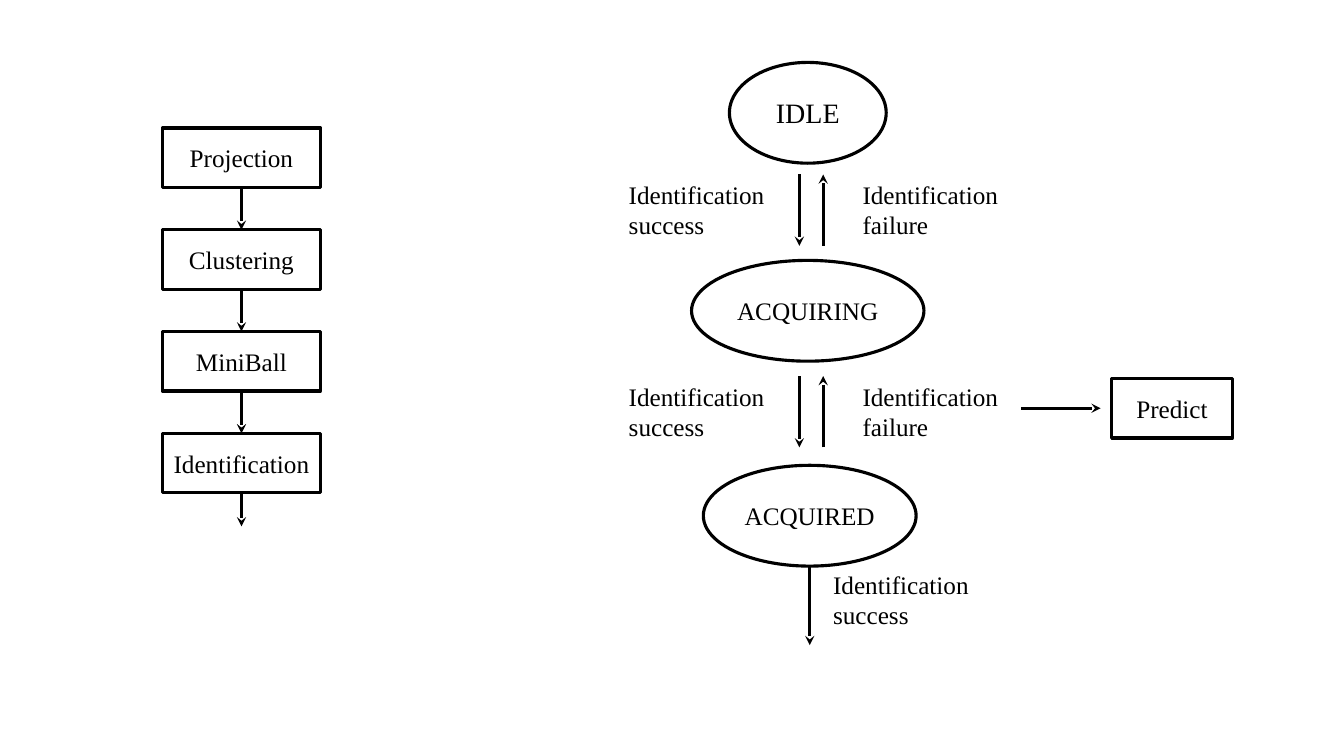
import pptx
import pptx.dml.color
import pptx.enum.shapes
import pptx.enum.text
import pptx.oxml
import pptx.oxml.ns
import pptx.util

Pt = pptx.util.Pt
SHAPE = pptx.enum.shapes.MSO_SHAPE
INK, PAPER = "000000", "FFFFFF"
TOP, BOTTOM = 0, 2


def color(value):
    return pptx.dml.color.RGBColor.from_string(value)


def write(tf, text, size, align):
    """Put each line of text in its own paragraph."""
    for i, line in enumerate(text.split("\n")):
        p = tf.paragraphs[0] if i == 0 else tf.add_paragraph()
        p.alignment = align
        r = p.add_run()
        r.text = line
        for name, value in {"name": "Times New Roman", "size": Pt(size)}.items():
            setattr(r.font, name, value)
        r.font.color.rgb = color(INK)


def add_node(s, kind, text, left, top, width, height, size=18):
    sp = s.shapes.add_shape(kind, Pt(left), Pt(top), Pt(width), Pt(height))
    sp.shadow.inherit = False
    sp.fill.solid()
    sp.fill.fore_color.rgb = color(PAPER)
    sp.line.color.rgb = color(INK)
    sp.line.width = Pt(2.25)
    sp.text_frame.vertical_anchor = pptx.enum.text.MSO_ANCHOR.MIDDLE
    write(sp.text_frame, text, size, pptx.enum.text.PP_ALIGN.CENTER)
    return sp


def add_label(s, text, left, top):
    sp = s.shapes.add_textbox(Pt(left), Pt(top), Pt(120), Pt(51))
    tf = sp.text_frame
    tf.word_wrap = False
    tf.auto_size = pptx.enum.text.MSO_AUTO_SIZE.SHAPE_TO_FIT_TEXT
    write(tf, text, 18, pptx.enum.text.PP_ALIGN.LEFT)


def add_arrow(s, x1, y1, x2, y2):
    c = s.shapes.add_connector(pptx.enum.shapes.MSO_CONNECTOR.STRAIGHT,
                               Pt(x1), Pt(y1), Pt(x2), Pt(y2))
    c.line.color.rgb = color(INK)
    c.line.width = Pt(2.25)
    ns = pptx.oxml.ns.nsdecls("a")
    c.line._get_or_add_ln().append(
        pptx.oxml.parse_xml(f'<a:tailEnd {ns} type="stealth"/>'))
    c._element.spPr.append(pptx.oxml.parse_xml(f"<a:effectLst {ns}/>"))
    return c


def add_pipeline(s):
    left, top, width, height, pitch = 116, 91.4, 113, 42.5, 72.7
    center = left + width / 2
    steps = ["Projection", "Clustering", "MiniBall", "Identification"]
    boxes = [add_node(s, SHAPE.RECTANGLE, step, left, top + i * pitch, width, height)
             for i, step in enumerate(steps)]
    for upper, lower in zip(boxes, boxes[1:]):
        c = add_arrow(s, center, top, center, top + pitch)
        c.begin_connect(upper, BOTTOM)
        c.end_connect(lower, TOP)
    end = add_arrow(s, center, top, center, 376)
    end.begin_connect(boxes[-1], BOTTOM)


def add_transitions(s, top):
    """Draw the success and failure arrows between two states."""
    bottom = top + 51
    add_arrow(s, 571, top, 571, bottom)
    add_arrow(s, 588, bottom, 588, top)
    add_label(s, "Identification\nsuccess", 442, top)
    add_label(s, "Identification\nfailure", 609, top)


def add_state_machine(s):
    states = [("IDLE", 521, 44.6, 112, 20),
              ("ACQUIRING", 494, 186, 166, 18),
              ("ACQUIRED", 502.4, 332.4, 152, 18)]
    for text, left, top, width, size in states:
        add_node(s, SHAPE.OVAL, text, left, top, width, 72, size)
    for top in (124.6, 268.6):
        add_transitions(s, top)
    add_arrow(s, 729.4, 291.6, 786.2, 291.6)
    add_node(s, SHAPE.RECTANGLE, "Predict", 794, 270.4, 86.4, 42.5)
    add_arrow(s, 578.4, 404.4, 578.4, 460.8)
    add_label(s, "Identification\nsuccess", 588, 403)


def main():
    prs = pptx.Presentation()
    prs.slide_width, prs.slide_height = Pt(960), Pt(540)
    s = prs.slides.add_slide(prs.slide_layouts[6])
    add_pipeline(s)
    add_state_machine(s)
    prs.save("out.pptx")


if __name__ == "__main__":
    main()
